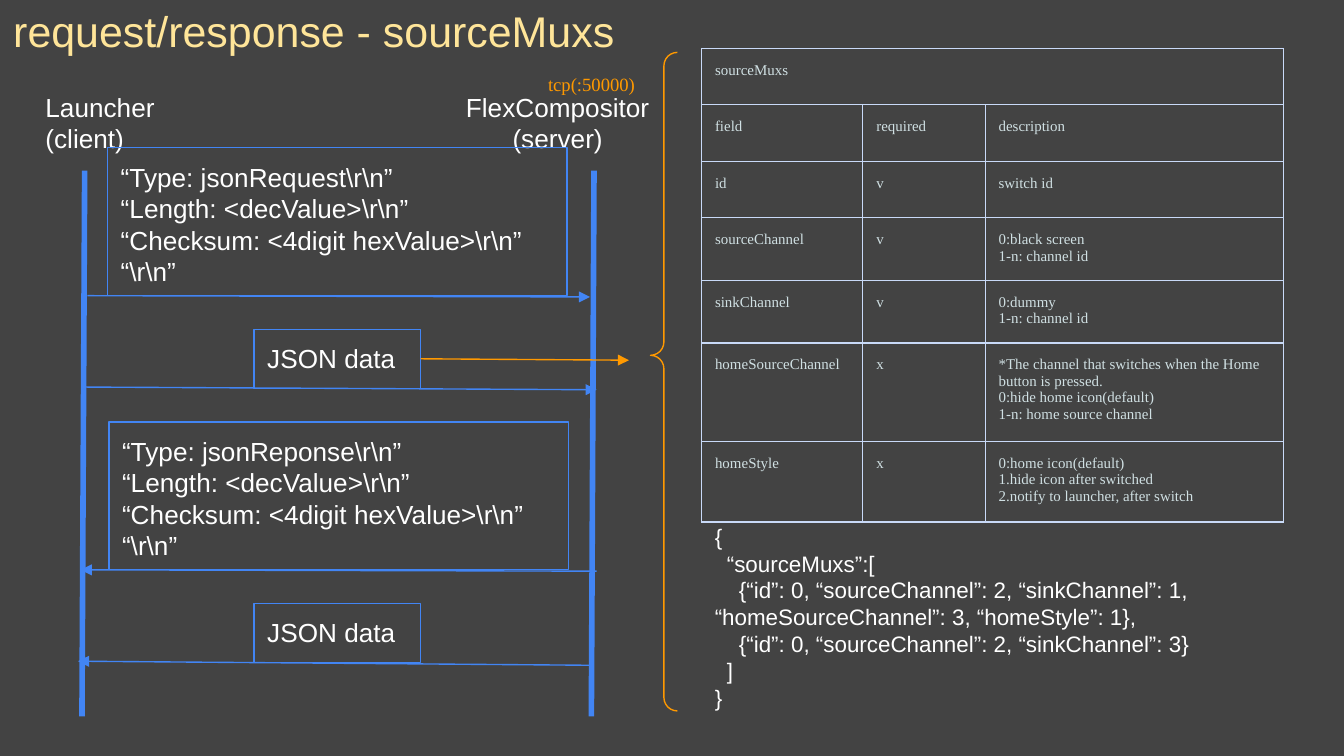
"""Build the sourceMuxs request/response slide: sequence diagram, field table and JSON sample."""
from lxml.etree import SubElement
from pptx import Presentation
from pptx.dml.color import RGBColor
from pptx.enum.shapes import MSO_CONNECTOR as LINK, MSO_SHAPE as SHAPE
from pptx.enum.text import MSO_ANCHOR as ANCHOR, PP_ALIGN as ALIGN
from pptx.oxml.ns import qn
from pptx.util import Inches, Pt

COLORS = {"background": "434343", "title": "FFE599", "text": "FFFFFF", "flow": "4285F4",
          "detail": "FF9900", "border": "C9DAF8", "cell": "D0E0E3"}


def write(frame, paragraphs, size, color, font="Arial", align=ALIGN.LEFT):
    frame.word_wrap = True
    frame.margin_left = frame.margin_right = Inches(0.1)
    frame.margin_top = frame.margin_bottom = Inches(0.1)
    for index, wording in enumerate(paragraphs):
        paragraph = frame.paragraphs[0] if index == 0 else frame.add_paragraph()
        paragraph.alignment = align
        for number, words in enumerate(wording.split("\n")):
            if number:
                paragraph.add_line_break()
            run = paragraph.add_run()
            run.text = words
            run.font.size = Pt(size)
            run.font.name = font
            run.font.color.rgb = RGBColor.from_string(COLORS[color])


def connect(start, end, color, width, arrow):
    link = slide.shapes.add_connector(LINK.STRAIGHT, *map(Inches, start + end))
    link.line.color.rgb = RGBColor.from_string(COLORS[color])
    link.line.width = Pt(width)
    if arrow:
        SubElement(link.line._get_or_add_ln(), qn("a:tailEnd"), type="triangle")
    SubElement(link._element.spPr, qn("a:effectLst"))


deck = Presentation()
deck.slide_width, deck.slide_height = Inches(10), Inches(10 * 9 / 16)
slide = deck.slides.add_slide(deck.slide_layouts[6])
slide.background.fill.solid()
slide.background.fill.fore_color.rgb = RGBColor.from_string(COLORS["background"])

title = slide.shapes.add_textbox(0, 0, Inches(5.59), Inches(0.45)).text_frame
write(title, ["request/response - sourceMuxs"], 23, "title")
title.vertical_anchor = ANCHOR.MIDDLE

labels = [
    (0.24, 0.58, 1.07, 0.69, ["Launcher", "(client)"], 14, "text", "Arial", ALIGN.LEFT),
    (3.25, 0.58, 1.8, 0.69, ["FlexCompositor", "(server)"], 14, "text", "Arial", ALIGN.CENTER),
    (3.98, 0.46, 0.86, 0.31, ["tcp(:50000)"], 10, "detail", "Times New Roman", ALIGN.LEFT),
]
for left, top, width, height, *content in labels:
    label = slide.shapes.add_textbox(*map(Inches, (left, top, width, height)))
    write(label.text_frame, *content)

header_end = "“Checksum: <4digit hexValue>\\r\\n”\n“\\r\\n”"
messages = [
    (0.8, 1.1, 3.42, 1.1, ["“Type: jsonRequest\\r\\n”\n“Length: <decValue>\\r\\n”", header_end]),
    (1.89, 2.45, 1.24, 0.44, ["JSON data"]),
    (0.81, 3.14, 3.42, 1.1, ["“Type: jsonReponse\\r\\n”\n“Length: <decValue>\\r\\n”", header_end]),
    (1.89, 4.49, 1.24, 0.44, ["JSON data"]),
]
for left, top, width, height, wording in messages:
    message = slide.shapes.add_shape(SHAPE.RECTANGLE, *map(Inches, (left, top, width, height)))
    message.shadow.inherit = False
    message.fill.background()
    message.line.color.rgb = RGBColor.from_string(COLORS["flow"])
    message.line.width = Pt(0.75)
    write(message.text_frame, wording, 14, "text")
    message.text_frame.vertical_anchor = ANCHOR.TOP

for lifeline in (0.63, 4.42):
    connect((lifeline, 1.27), (lifeline - 0.02, 5.33), "flow", 3, False)
for start, end in [((0.65, 2.2), (4.39, 2.21)), ((0.63, 2.88), (4.44, 2.9)),
                   ((4.44, 4.25), (0.6, 4.24)), ((4.39, 4.95), (0.58, 4.92))]:
    connect(start, end, "flow", 0.75, True)
connect((3.13, 2.67), (4.68, 2.68), "detail", 0.75, True)

brace = slide.shapes.add_shape(SHAPE.LEFT_BRACE, *map(Inches, (4.84, 0.39, 0.2, 4.9)))
brace.shadow.inherit = False
brace.fill.background()
brace.line.color.rgb = RGBColor.from_string(COLORS["detail"])
brace.line.width = Pt(0.75)
brace.adjustments[0], brace.adjustments[1] = 0.5, 0.46

fields = [
    ("sourceMuxs", "", ""),
    ("field", "required", "description"),
    ("id", "v", "switch id"),
    ("sourceChannel", "v", "0:black screen", "1-n: channel id"),
    ("sinkChannel", "v", "0:dummy", "1-n: channel id"),
    ("homeSourceChannel", "x",
     "*The channel that switches when the Home button is pressed.\n0:hide home icon(default)",
     "1-n: home source channel"),
    ("homeStyle", "x", "0:home icon(default)\n1.hide icon after switched",
     "2.notify to launcher, after switch"),
]
row_height = 0.42
table = slide.shapes.add_table(len(fields), 3, Inches(5.22), Inches(0.36), Inches(4.33),
                               Inches(row_height * len(fields))).table
table.first_row = table.horz_banding = False
for column, width in zip(table.columns, (1.2, 0.91, 2.22)):
    column.width = Inches(width)
table.cell(0, 0).merge(table.cell(0, 2))
for row, (field, required, *description) in enumerate(fields):
    table.rows[row].height = Inches(row_height)
    for column, wording in enumerate(([field], [required], description)):
        cell = table.cell(row, column)
        cell.margin_left = cell.margin_right = Inches(0.1)
        cell.margin_top = cell.margin_bottom = Inches(0.1)
        properties = cell._tc.get_or_add_tcPr()
        for side in ("a:lnL", "a:lnR", "a:lnT", "a:lnB"):
            border = SubElement(properties, qn(side), w=str(Pt(0.75)))
            SubElement(SubElement(border, qn("a:solidFill")), qn("a:srgbClr"), val=COLORS["border"])
        cell.fill.background()
        if not cell.is_spanned:
            write(cell.text_frame, wording, 8, "cell", "Times New Roman")

sample = [
    (0, "{"),
    (1, "“sourceMuxs”:["),
    (2, "{“id”: 0, “sourceChannel”: 2, “sinkChannel”: 1, “homeSourceChannel”: 3, “homeStyle”: 1},"),
    (2, "{“id”: 0, “sourceChannel”: 2, “sinkChannel”: 3}"),
    (1, "]"),
    (0, "}"),
]
json_sample = slide.shapes.add_textbox(*map(Inches, (5.22, 3.79, 4.33, 1.83))).text_frame
write(json_sample, [wording for _, wording in sample], 12, "text")
for paragraph, (depth, _) in zip(json_sample.paragraphs, sample):
    paragraph._p.get_or_add_pPr().set("indent", str(Inches(0.09 * depth)))

deck.save("out.pptx")
